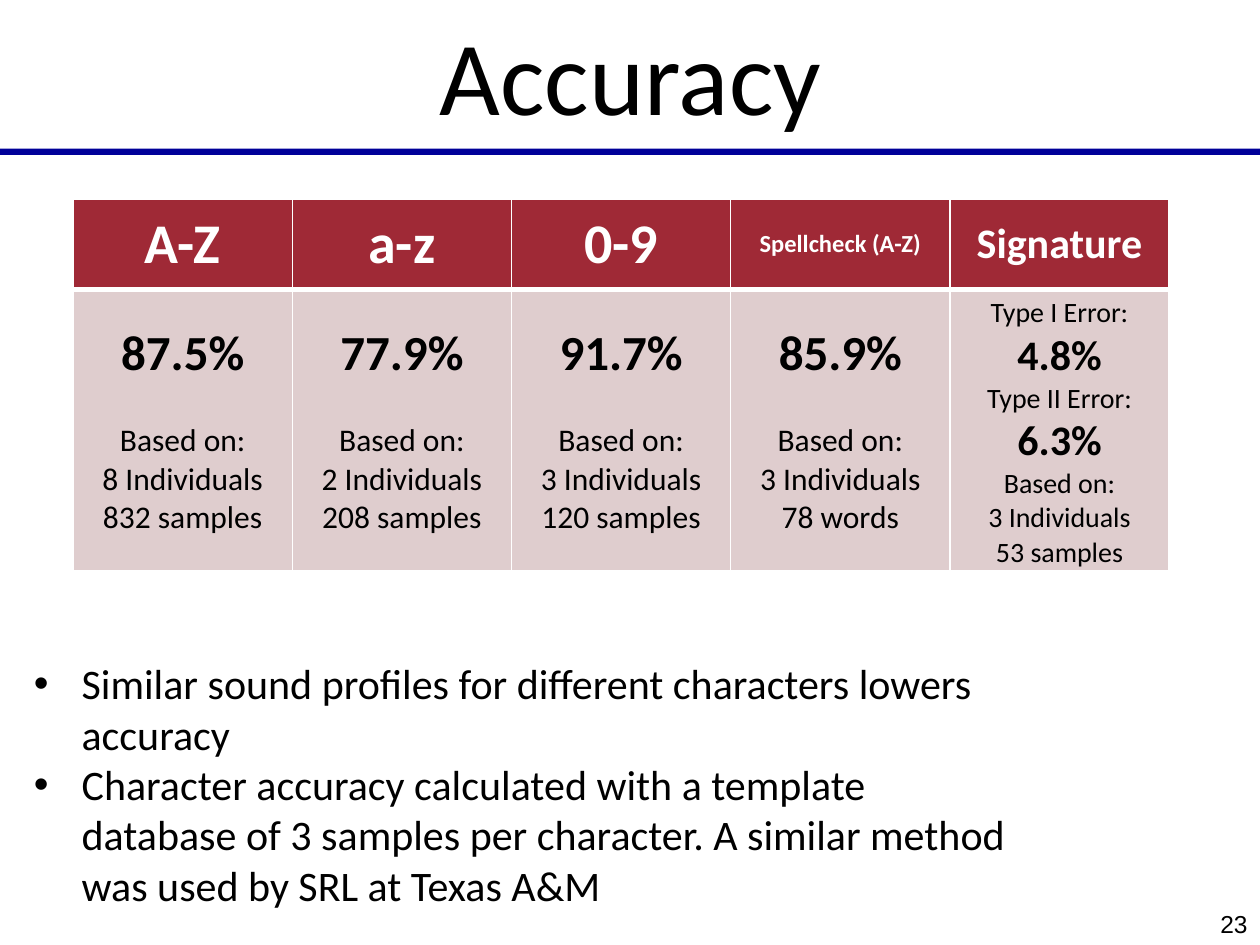
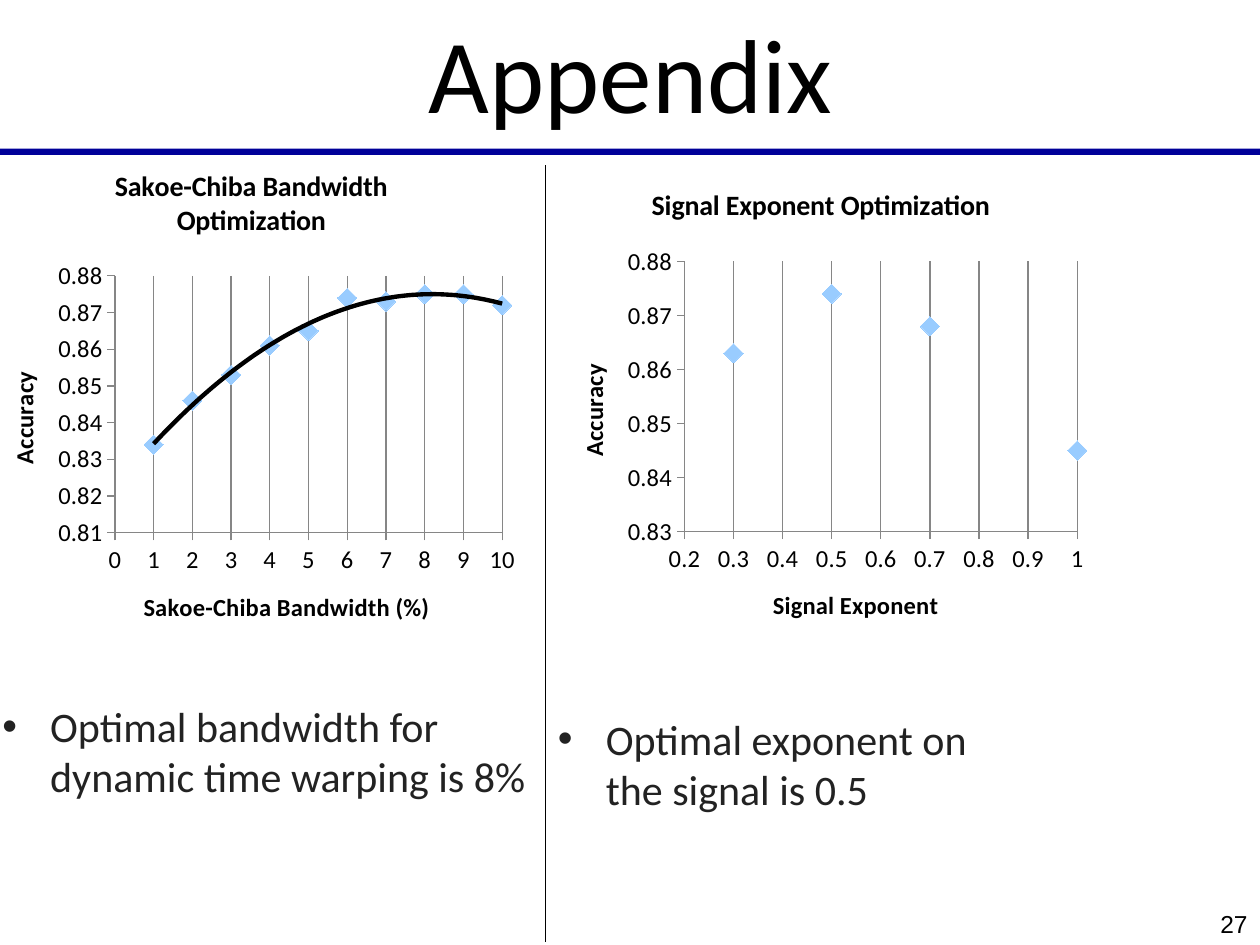
from lxml.etree import SubElement
from pptx import Presentation
from pptx.chart.data import XyChartData
from pptx.dml.color import RGBColor
from pptx.enum.chart import XL_CHART_TYPE, XL_MARKER_STYLE, XL_TICK_MARK
from pptx.enum.shapes import MSO_CONNECTOR, MSO_SHAPE
from pptx.enum.text import MSO_ANCHOR, PP_ALIGN
from pptx.oxml import parse_xml
from pptx.oxml.ns import nsdecls, qn
from pptx.util import Inches, Pt

COLORS = {
    "black": "000000", "white": "FFFFFF", "band": "000099",
    "header": "9F2936", "body": "DFCDCE", "note": "222222",
    "marker": "99CCFF", "axis": "868686",
}
COLORS = {name: RGBColor.from_string(value) for name, value in COLORS.items()}


def add_text(page, place, lines, size, color="black", font="Calibri",
             align=PP_ALIGN.LEFT, anchor=MSO_ANCHOR.TOP, bulleted=False):
    box = page.shapes.add_textbox(*[Inches(length) for length in place])
    frame = box.text_frame
    frame.word_wrap = True
    frame.vertical_anchor = anchor
    frame.text = "\n".join(lines)
    for para in frame.paragraphs:
        if bulleted:
            properties = para._p.get_or_add_pPr()
            properties.set("marL", str(Inches(0.38)))
            properties.set("indent", str(-Inches(0.38)))
            SubElement(properties, qn("a:buFont")).set("typeface", "Arial")
            SubElement(properties, qn("a:buChar")).set("char", "•")
        para.alignment = align
        for span in para.runs:
            span.font.size = Pt(size)
            span.font.name = font
            span.font.color.rgb = COLORS[color]


def set_chart_title(titled, text, size):
    """Title a chart or one of its axes in bold."""
    frame = (titled.chart_title if hasattr(titled, "chart_title")
             else titled.axis_title).text_frame
    frame.text = text
    font = frame.paragraphs[0].runs[0].font
    font.size, font.bold, font.name = Pt(size), True, "Calibri"
    font.color.rgb = COLORS["black"]


deck = Presentation()
deck.slide_width, deck.slide_height = Inches(10), Inches(7.5)

# Title, band and page number shared by both slides
pages = []
for title, title_top, number in [("Accuracy", 0, "23"), ("Appendix", -0.02, "27")]:
    page = deck.slides.add_slide(deck.slide_layouts[6])
    add_text(page, (8, 7.16, 2, 0.34), [number], 14, font="Arial",
             align=PP_ALIGN.RIGHT, anchor=MSO_ANCHOR.MIDDLE)
    band = page.shapes.add_shape(MSO_SHAPE.RECTANGLE, 0, Inches(1.18),
                                 deck.slide_width, Inches(0.05))
    band.shadow.inherit = False
    band.fill.solid()
    band.fill.fore_color.rgb = COLORS["band"]
    band.line.fill.background()
    add_text(page, (1.17, title_top, 7.67, 1.17), [title], 60,
             align=PP_ALIGN.CENTER, anchor=MSO_ANCHOR.MIDDLE)
    pages.append(page)
accuracy, appendix = pages

# Accuracy table: heading, heading size, body lines
results = [
    ("A-Z", 32, ["87.5%", "Based on:", "8 Individuals", "832 samples"]),
    ("a-z", 32, ["77.9%", "Based on:", "2 Individuals", "208 samples"]),
    ("0-9", 32, ["91.7%", "Based on:", "3 Individuals", "120 samples"]),
    ("Spellcheck (A-Z)", 14, ["85.9%", "Based on:", "3 Individuals", "78 words"]),
    ("Signature", 24, ["Type I Error:", "4.8%", "Type II Error:", "6.3%",
                       "Based on:", "3 Individuals", "53 samples"]),
]
table = accuracy.shapes.add_table(2, len(results), Inches(0.58), Inches(1.58),
                                  Inches(8.71), Inches(2.92)).table
table.rows[0].height, table.rows[1].height = Inches(0.72), Inches(2.2)
for column, (heading, heading_size, lines) in enumerate(results):
    table.columns[column].width = Inches(1.74)
    percent_size, label_size = (24, 16) if heading == "Signature" else (28, 18)
    for row, texts in enumerate([[heading], lines]):
        cell = table.cell(row, column)
        cell.vertical_anchor = MSO_ANCHOR.MIDDLE
        cell.text_frame.text = "\n".join(texts)
        for para in cell.text_frame.paragraphs:
            is_percent = para.text.endswith("%")
            para.alignment = PP_ALIGN.CENTER
            if row == 1 and para.text == "Based on:" and heading != "Signature":
                para.space_before = Pt(22)
            font = para.runs[0].font
            font.name = "Calibri"
            font.bold = row == 0 or is_percent
            font.size = Pt(heading_size if row == 0
                           else percent_size if is_percent else label_size)
            font.color.rgb = COLORS["white" if row == 0 else "black"]
        properties = cell._tc.get_or_add_tcPr()
        thick_side = "B" if row == 0 else "T"
        for side in "LRTB":
            width = Pt(3 if side == thick_side else 1)
            properties.append(parse_xml(
                f'<a:ln{side} {nsdecls("a")} w="{width}"><a:solidFill>'
                f'<a:srgbClr val="{COLORS["white"]}"/></a:solidFill></a:ln{side}>'))
        cell.fill.solid()
        cell.fill.fore_color.rgb = COLORS["header" if row == 0 else "body"]

add_text(accuracy, (0.17, 5.17, 7.97, 2.12), [
    "Similar sound profiles for different characters lowers accuracy",
    "Character accuracy calculated with a template database of 3 samples per "
    "character. A similar method was used by SRL at Texas A&M",
], 24, bulleted=True)

# Appendix charts; ranges are minimum, maximum, step; plot is x, y, width, height
charts = [
    {"title": "Sakoe-Chiba Bandwidth Optimization", "x_title": "Sakoe-Chiba Bandwidth (%)",
     "place": (-0.17, 1.15, 4.33, 4), "plot": (0.25, 0.26, 0.71, 0.51),
     "x_range": (0, 10, 1), "y_range": (0.81, 0.88, 0.01), "trend": True,
     "points": list(enumerate([0.834, 0.846, 0.853, 0.861, 0.865,
                               0.874, 0.873, 0.875, 0.875, 0.872], start=1))},
    {"title": "Signal Exponent Optimization", "x_title": "Signal Exponent",
     "place": (4.35, 1.31, 4.33, 3.83), "plot": (0.25, 0.2, 0.72, 0.56),
     "x_range": (0.2, 1, 0.1), "y_range": (0.83, 0.88, 0.01), "trend": False,
     "points": [(1, 0.845), (0.7, 0.868), (0.5, 0.874), (0.3, 0.863)]},
]
for details in charts:
    data = XyChartData()
    points = data.add_series("Series 1")
    for x, y in details["points"]:
        points.add_data_point(x, y)
    chart = appendix.shapes.add_chart(
        XL_CHART_TYPE.XY_SCATTER,
        *[Inches(length) for length in details["place"]], data).chart
    chart.has_legend = False
    chart.font.size, chart.font.name = Pt(14), "Calibri"
    chart.font.color.rgb = COLORS["black"]
    set_chart_title(chart, details["title"], 16)
    chart.plots[0].vary_by_categories = False

    for axis, axis_title, limits, number_format in [
            (chart.category_axis, details["x_title"], details["x_range"], "General"),
            (chart.value_axis, "Accuracy", details["y_range"], "0.00")]:
        set_chart_title(axis, axis_title, 14)
        axis.minimum_scale, axis.maximum_scale, axis.major_unit = limits
        axis.major_tick_mark = XL_TICK_MARK.OUTSIDE
        axis.tick_labels.number_format = number_format
        axis.tick_labels.number_format_is_linked = False
        axis.format.line.color.rgb = COLORS["axis"]
        axis.has_major_gridlines = axis is not chart.value_axis and number_format == "General"
    chart.category_axis.major_gridlines.format.line.color.rgb = COLORS["axis"]

    series = chart.plots[0].series[0]
    series.smooth = False
    series.format.line.fill.background()
    series.marker.style, series.marker.size = XL_MARKER_STYLE.DIAMOND, 11
    series.marker.format.fill.solid()
    series.marker.format.fill.fore_color.rgb = COLORS["marker"]
    series.marker.format.line.fill.background()
    if details["trend"]:
        series._element.find(qn("c:xVal")).addprevious(parse_xml(
            f'<c:trendline {nsdecls("c", "a")}><c:spPr><a:ln w="{Pt(2.5)}"><a:solidFill>'
            f'<a:srgbClr val="{COLORS["black"]}"/></a:solidFill></a:ln></c:spPr>'
            '<c:trendlineType val="poly"/><c:order val="2"/>'
            '<c:dispRSqr val="0"/><c:dispEq val="0"/></c:trendline>'))

    plot_area = chart._chartSpace.chart.plotArea
    for layout in plot_area.findall(qn("c:layout")):
        plot_area.remove(layout)
    sizes = "".join(f'<c:{name} val="{value}"/>'
                    for name, value in zip("xywh", details["plot"]))
    plot_area.insert(0, parse_xml(
        f'<c:layout {nsdecls("c")}><c:manualLayout><c:layoutTarget val="inner"/>'
        f'<c:xMode val="edge"/><c:yMode val="edge"/>{sizes}</c:manualLayout></c:layout>'))

divider = appendix.shapes.add_connector(MSO_CONNECTOR.STRAIGHT, Inches(4.33), Inches(1.31),
                                        Inches(4.33), Inches(7.48))
divider.line.color.rgb = COLORS["black"]
divider.line.width = Pt(1)
SubElement(divider._element.spPr, qn("a:effectLst"))

for place, note in [
        ((-0.08, 5.51, 4.42, 0.91), "Optimal bandwidth for dynamic time warping is 8%"),
        ((4.33, 5.61, 3.93, 0.91), "Optimal exponent on the signal is 0.5")]:
    add_text(appendix, place, [note], 24, color="note", bulleted=True)

deck.save("out.pptx")
